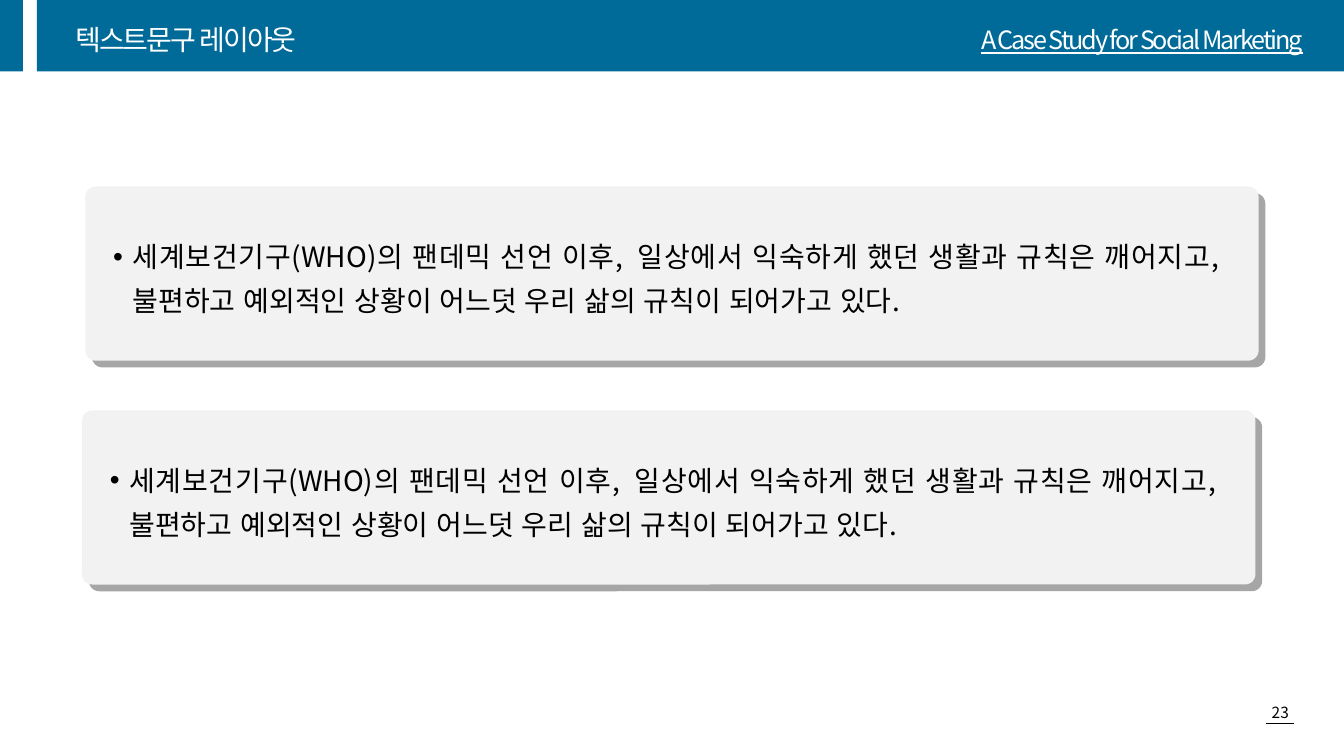
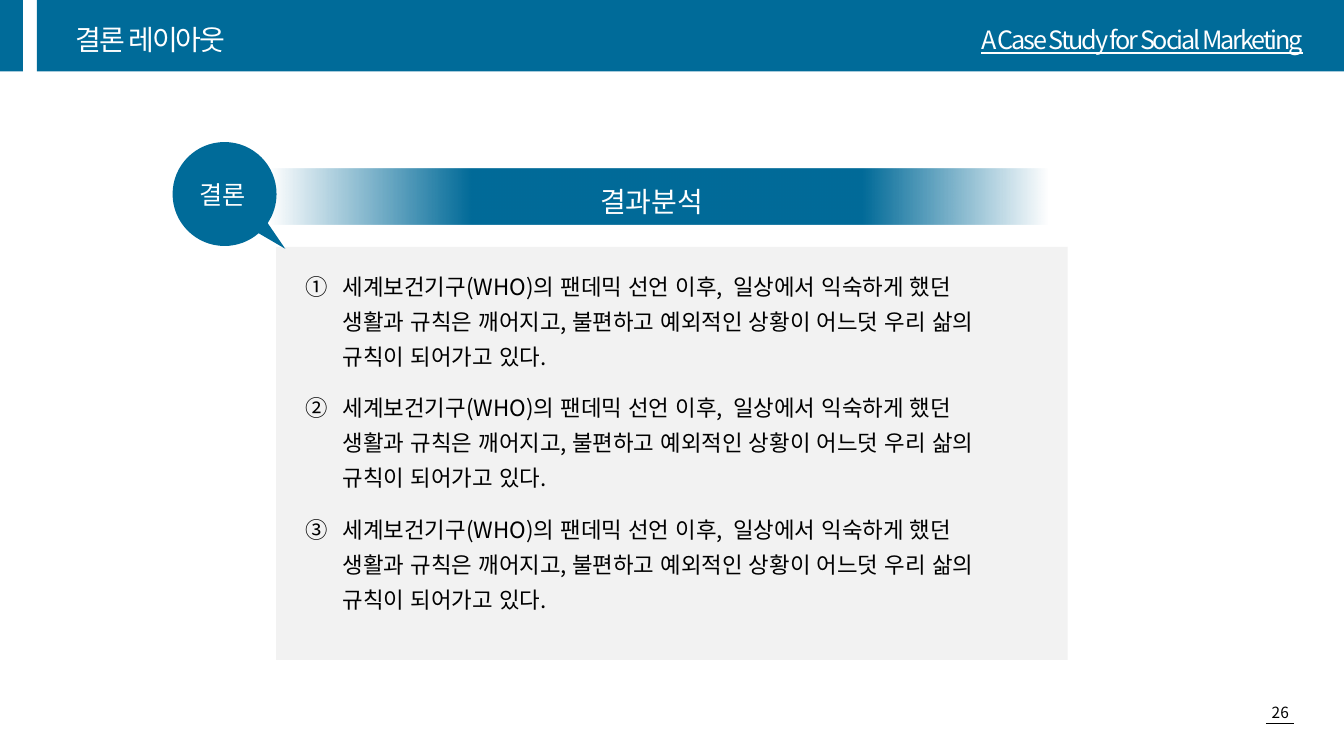
import math

from lxml import etree
from pptx import Presentation
from pptx import util as u
from pptx.dml.color import RGBColor
from pptx.enum import shapes, text
from pptx.oxml.ns import qn

BLUE = RGBColor(0x00, 0x6B, 0x99)
PANEL_GRAY = RGBColor(0xF2, 0xF2, 0xF2)
SHADE_GRAY = RGBColor(0xA6, 0xA6, 0xA6)
WHITE = RGBColor(0xFF, 0xFF, 0xFF)
BLACK = RGBColor(0x00, 0x00, 0x00)

FONT = "Noto Sans CJK KR"
LEFT, CENTER, RIGHT, JUSTIFY = (
    text.PP_ALIGN.LEFT, text.PP_ALIGN.CENTER,
    text.PP_ALIGN.RIGHT, text.PP_ALIGN.JUSTIFY)
TOP, MIDDLE = text.MSO_ANCHOR.TOP, text.MSO_ANCHOR.MIDDLE

WIDTH, HEIGHT = 33.87, 19.05
HEADER_HEIGHT = 1.8
STATEMENT = ("세계보건기구(WHO)의 팬데믹 선언 이후,  일상에서 익숙하게 했던 생활과 규칙은 "
             "깨어지고, 불편하고 예외적인 상황이 어느덧 우리 삶의 규칙이 되어가고 있다.")


def paint(shape, color):
    shape.shadow.inherit = False
    shape.fill.solid()
    shape.fill.fore_color.rgb = color
    shape.line.fill.background()
    return shape


def add_block(slide, left, top, width, height, color,
              kind=shapes.MSO_SHAPE.RECTANGLE):
    block = slide.shapes.add_shape(
        kind, u.Cm(left), u.Cm(top), u.Cm(width), u.Cm(height))
    return paint(block, color)


def set_bullet(paragraph, tag, hanging, **attributes):
    """Add a bullet element and a hanging indent in centimetres."""
    properties = paragraph._p.get_or_add_pPr()
    properties.set("marL", str(u.Cm(hanging)))
    properties.set("indent", str(-u.Cm(hanging)))
    if tag == "a:buChar":
        etree.SubElement(properties, qn("a:buFont"), typeface="Arial")
    etree.SubElement(properties, qn(tag), **attributes)


def add_text(slide, left, top, width, height, *lines, size=20, color=BLACK,
             align=LEFT, anchor=TOP, line_spacing=1.0, gap=0, tracking=0,
             underline=False, bullet=None, language="ko-KR"):
    """Add a text box; gap is the space between paragraphs in points."""
    box = slide.shapes.add_textbox(
        u.Cm(left), u.Cm(top), u.Cm(width), u.Cm(height))
    frame = box.text_frame
    frame.word_wrap = True
    frame.vertical_anchor = anchor
    for index, line in enumerate(lines):
        paragraph = frame.add_paragraph() if index else frame.paragraphs[0]
        if bullet:
            set_bullet(paragraph, **bullet)
        paragraph.alignment = align
        paragraph.line_spacing = line_spacing
        if index and gap:
            paragraph.space_before = u.Pt(gap)
        run = paragraph.add_run()
        run.text = line
        font = run.font
        font.size, font.name, font.color.rgb = u.Pt(size), FONT, color
        if underline:
            font.underline = True
        run_properties = run._r.get_or_add_rPr()
        run_properties.set("lang", language)
        if language == "ko-KR":
            # Kerning would narrow the spaces between Korean words.
            run_properties.set("kern", "0")
        if tracking:
            run_properties.set("spc", str(round(tracking * 100)))
        east_asian = etree.Element(qn("a:ea"), typeface=FONT)
        run_properties.find(qn("a:latin")).addnext(east_asian)
    return box


def add_rule(slide, left, right, y):
    rule = slide.shapes.add_connector(
        shapes.MSO_CONNECTOR.STRAIGHT, u.Cm(left), u.Cm(y), u.Cm(right), u.Cm(y))
    rule.line.color.rgb = BLACK
    rule.line.width = u.Pt(0.5)
    etree.SubElement(rule._element.spPr, qn("a:effectLst"))


def add_page(deck, title, number):
    """Add a slide with the shared header and page number."""
    slide = deck.slides.add_slide(deck.slide_layouts[6])
    add_block(slide, 0, 0, 0.58, HEADER_HEIGHT, BLUE)
    add_block(slide, 0.93, 0, WIDTH - 0.93, HEADER_HEIGHT, BLUE)
    header = dict(color=WHITE, anchor=MIDDLE, line_spacing=1.3, tracking=-1.5)
    add_text(slide, 1.65, 0.11, 11.58, 1.52, title, **header)
    add_text(slide, 21.51, 0.28, 11.58, 1.19, "A Case Study for Social Marketing",
             size=18, align=RIGHT, underline=True, language="en-US", **header)
    add_text(slide, 31.4, 17.6, 1.73, 0.74, str(number), size=11, align=CENTER)
    add_rule(slide, 31.9, 32.61, 18.24)
    return slide


def add_card(slide, left, top, statement):
    offset = 0.17
    for shift, color in ((offset, SHADE_GRAY), (0, PANEL_GRAY)):
        card = add_block(slide, left + shift, top + shift, 29.57, 4.39, color,
                         shapes.MSO_SHAPE.ROUNDED_RECTANGLE)
        card.adjustments[0] = 0.06
    add_text(slide, left + 0.45, top + 0.96, 28.37, 3.05, statement,
             align=JUSTIFY, line_spacing=1.3,
             bullet=dict(tag="a:buChar", hanging=0.49, char="•"))


def arc_controls(center_x, center_y, radius, start, end):
    """Return two control points and the end point of a Bézier arc in degrees."""
    start, end = math.radians(start), math.radians(end)
    reach = 4 / 3 * math.tan((end - start) / 4)
    unit_points = (
        (math.cos(start) - reach * math.sin(start),
         math.sin(start) + reach * math.cos(start)),
        (math.cos(end) + reach * math.sin(end),
         math.sin(end) - reach * math.cos(end)),
        (math.cos(end), math.sin(end)))
    return [(u.Cm(center_x + radius * x), u.Cm(center_y + radius * y))
            for x, y in unit_points]


def add_balloon(slide, center_x, center_y, radius, tip):
    """Draw a round speech balloon whose tail ends at tip."""
    stations = (49, 90, 180, 270, 360, 394)
    circle = center_x, center_y, radius
    arcs = [arc_controls(*circle, start, end)
            for start, end in zip(stations, stations[1:])]
    tail_base = arc_controls(*circle, stations[0], stations[0])[-1]
    points = [point for arc in arcs for point in arc]
    points.append(tuple(u.Cm(value) for value in tip))
    builder = slide.shapes.build_freeform(*tail_base)
    builder.add_line_segments(points, close=True)
    balloon = paint(builder.convert_to_shape(), BLUE)
    segments = list(balloon._element.iter(qn("a:lnTo")))
    for first in range(0, 3 * len(arcs), 3):
        curve = etree.Element(qn("a:cubicBezTo"))
        segments[first].addprevious(curve)
        for segment in segments[first:first + 3]:
            curve.append(segment[0])
            segment.getparent().remove(segment)


def fade_sides(band, color, solid_from, solid_to):
    """Make a block fade to transparent at its left and right ends."""
    band.fill.gradient()
    band.fill.gradient_angle = 0
    stops = band._element.spPr.find(qn("a:gradFill")).find(qn("a:gsLst"))
    for stop in list(stops):
        stops.remove(stop)
    for position, alpha in ((0, 0), (solid_from, 100), (solid_to, 100), (100, 0)):
        stop = etree.SubElement(stops, qn("a:gs"), pos=str(position * 1000))
        tint = etree.SubElement(stop, qn("a:srgbClr"), val=str(color))
        etree.SubElement(tint, qn("a:alpha"), val=str(alpha * 1000))


def build_statements(deck):
    slide = add_page(deck, "텍스트문구 레이아웃", 23)
    for left, top in ((2.15, 4.7), (2.07, 10.34)):
        add_card(slide, left, top, STATEMENT)


def build_conclusion(deck):
    slide = add_page(deck, "결론 레이아웃", 26)
    add_block(slide, 6.96, 6.22, 19.95, 10.41, PANEL_GRAY)
    add_balloon(slide, 5.66, 4.89, 1.31, tip=(7.19, 6.27))
    add_text(slide, 4.13, 4.39, 2.97, 1.02, "결론",
             size=18, color=WHITE, align=CENTER)
    add_text(slide, 7.44, 6.55, 18.4, 9.4, *[STATEMENT] * 3,
             size=16, line_spacing=1.3, gap=12,
             bullet=dict(tag="a:buAutoNum", hanging=0.95, type="circleNumDbPlain"))
    band = add_block(slide, 6.83, 4.24, 19.58, 1.41, BLUE)
    fade_sides(band, BLUE, 26, 76)
    add_text(slide, 11.13, 4.29, 10.59, 1.3, "결과분석",
             color=WHITE, align=CENTER, anchor=MIDDLE, line_spacing=1.3)


def main():
    deck = Presentation()
    deck.slide_width, deck.slide_height = u.Cm(WIDTH), u.Cm(HEIGHT)
    build_statements(deck)
    build_conclusion(deck)
    deck.save("out.pptx")


if __name__ == "__main__":
    main()
